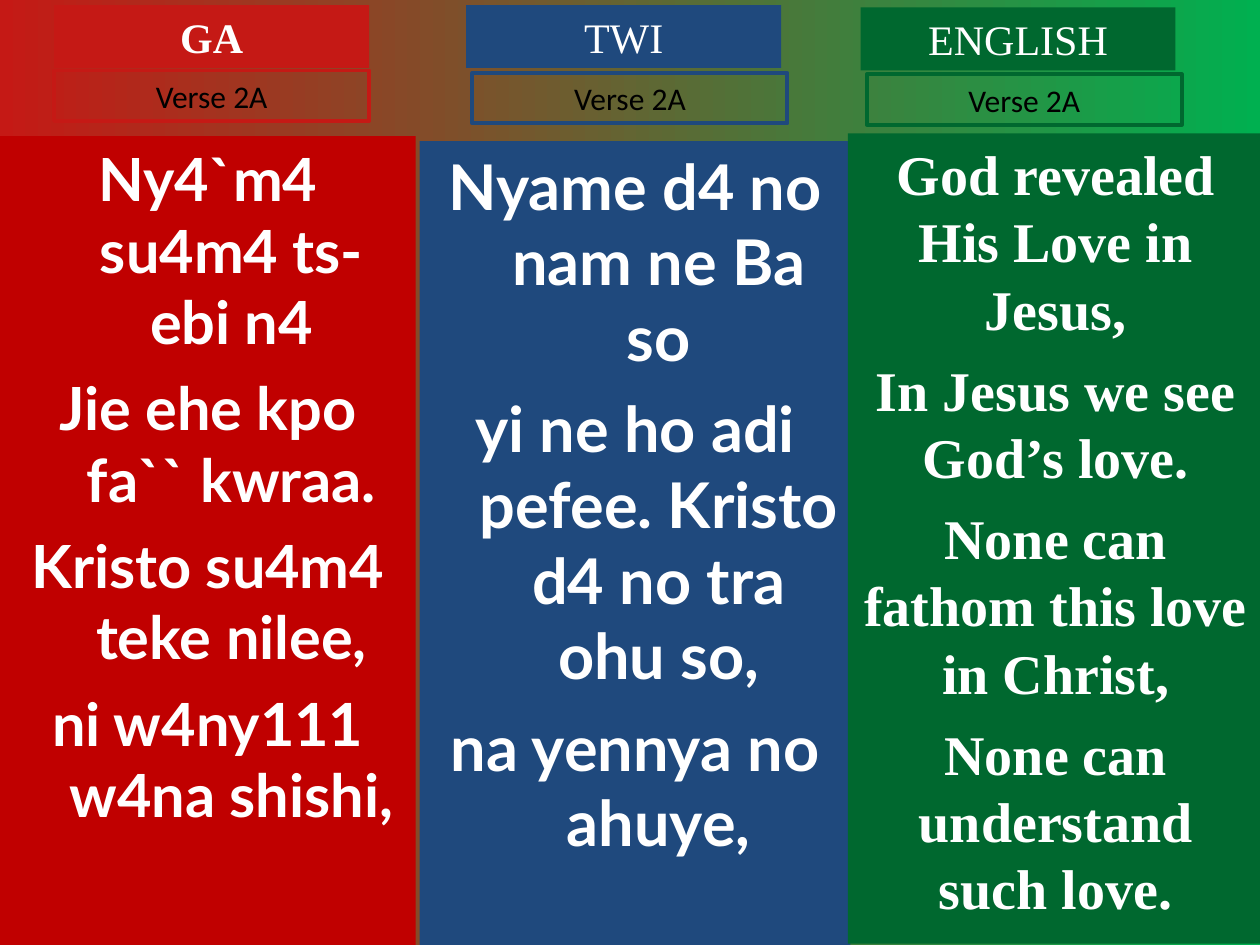
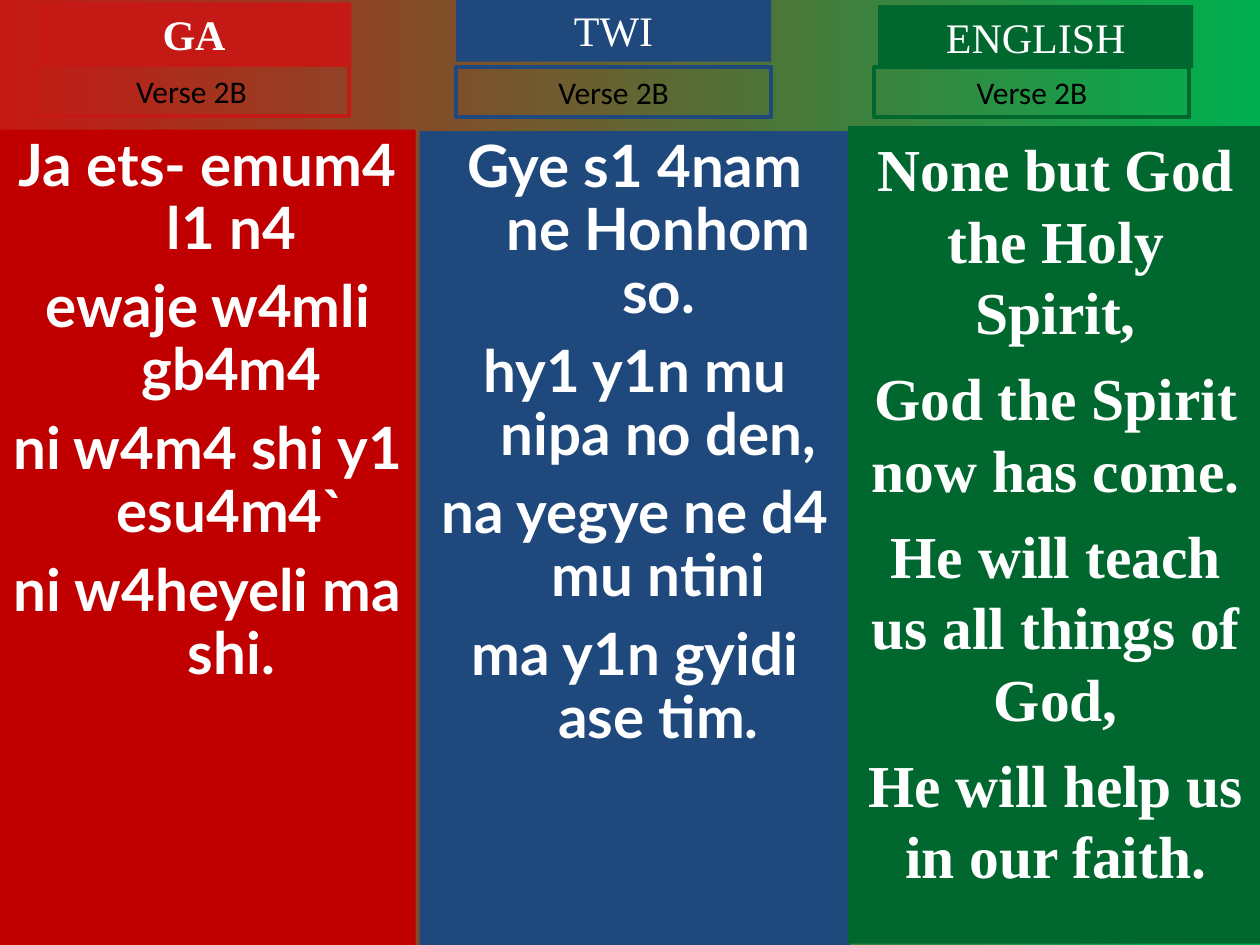
import pptx
import pptx.util
import pptx.dml.color
import pptx.enum.shapes
import pptx.enum.text
from dataclasses import dataclass

Pt = pptx.util.Pt


@dataclass(frozen=True)
class Theme:
    red: str = "C51915"
    deep: str = "C00000"
    blue: str = "1F497D"
    green: str = "00682F"
    glow: str = "00B050"
    white: str = "FFFFFF"
    black: str = "000000"
    serif: str = "Times New Roman"
    sans: str = "Lato"
    plain: str = "Calibri"
    head: float = 24
    label: float = 18
    line: float = 2.25
    hang: float = 27


@dataclass(frozen=True)
class Column:
    name: str
    tint: str
    fill: str
    left: float
    width: float
    base: float
    font: str
    hang: float
    bold: bool


@dataclass(frozen=True)
class Part:
    top: float
    head: tuple
    label: tuple
    size: float
    gap: float
    lines: tuple
    space: float = 1


THEME = Theme()

COLUMNS = (
    Column("GA", THEME.red, THEME.deep, 0, 237.6, 540, THEME.sans, THEME.hang, True),
    Column("TWI", THEME.blue, THEME.blue, 239.76, 246.24, 540, THEME.sans, THEME.hang, False),
    Column("ENGLISH", THEME.green, THEME.green, 484.56, 237.6, 539.28, THEME.serif, 0, False),
)

VERSES = {
    "Verse 2A": (
        Part(77.76, (30.96, 2.88), (30.96, 40.32), 34, 8.5, (
            "Ny4`m4 su4m4 ts- ebi n4",
            "Jie ehe kpo fa`` kwraa.",
            "Kristo su4m4 teke nilee,",
            "ni w4ny111 w4na shishi,")),
        Part(80.64, (266.4, 2.88), (270, 41.76), 36, 9, (
            "Nyame d4 no nam ne Ba so",
            "yi ne ho adi pefee. Kristo d4 no tra ohu so,",
            "na yennya no ahuye,")),
        Part(76.32, (491.76, 4.32), (495.36, 42.48), 32, 8, (
            "God revealed His Love in Jesus,",
            "In Jesus we see God’s love.",
            "None can fathom this love in Christ,",
            "None can understand such love.")),
    ),
    "Verse 2B": (
        Part(74.16, (20.88, 1.44), (19.44, 37.44), 33.3, 9, (
            "Ja ets- emum4 l1 n4",
            "ewaje w4mli gb4m4",
            "ni w4m4 shi y1 esu4m4`",
            "ni w4heyeli ma shi."), 0.9),
        Part(74.88, (260.64, -0.72), (260.64, 38.16), 33.3, 9, (
            "Gye s1 4nam ne Honhom so.",
            "hy1 y1n mu nipa no den,",
            "na yegye ne d4 mu ntini",
            "ma y1n gyidi ase tim."), 0.9),
        Part(72, (501.84, 2.88), (499.68, 38.16), 34, 8.5, (
            "None but God the Holy Spirit,",
            "God the Spirit now has come.",
            "He will teach us all things of God,",
            "He will help us in our faith.")),
    ),
}


def color(code):
    return pptx.dml.color.RGBColor.from_string(code)


class Deck:
    def __init__(self, theme):
        self.theme = theme
        self.show = pptx.Presentation()
        self.show.slide_width, self.show.slide_height = Pt(720), Pt(540)
        self.slide = None

    def page(self):
        self.slide = self.show.slides.add_slide(self.show.slide_layouts[6])
        fill = self.slide.background.fill
        fill.gradient()
        fill.gradient_angle = 0
        for stop, place, code in zip(fill.gradient_stops, (0, 1), (self.theme.red, self.theme.glow)):
            stop.position = place
            stop.color.rgb = color(code)

    def box(self, left, top, width, height, fill=None, line=None, grow=False):
        shape = self.slide.shapes.add_shape(
            pptx.enum.shapes.MSO_SHAPE.RECTANGLE, Pt(left), Pt(top), Pt(width), Pt(height))
        shape.shadow.inherit = False
        if fill:
            shape.fill.solid()
            shape.fill.fore_color.rgb = color(fill)
        else:
            shape.fill.background()
        if line:
            shape.line.color.rgb = color(line)
            shape.line.width = Pt(self.theme.line)
        else:
            shape.line.fill.background()
        frame = shape.text_frame
        frame.word_wrap = True
        frame.vertical_anchor = pptx.enum.text.MSO_ANCHOR.TOP
        size = pptx.enum.text.MSO_AUTO_SIZE
        frame.auto_size = size.SHAPE_TO_FIT_TEXT if grow else size.NONE
        return frame

    def put(self, para, text, font, size, code, bold=False):
        para.alignment = pptx.enum.text.PP_ALIGN.CENTER
        run = para.add_run()
        run.text = text
        run.font.name = font
        run.font.size = Pt(size)
        run.font.bold = bold
        run.font.color.rgb = color(code)

    def panel(self, col, part):
        frame = self.box(col.left, part.top, col.width, col.base - part.top, fill=col.fill)
        for index, text in enumerate(part.lines):
            para = frame.add_paragraph() if index else frame.paragraphs[0]
            if index:
                para.space_before = Pt(part.gap)
            para.line_spacing = part.space
            if col.hang:
                props = para._p.get_or_add_pPr()
                props.set("marL", str(Pt(col.hang)))
                props.set("indent", str(-Pt(col.hang)))
            self.put(para, text, col.font, part.size, self.theme.white, True)

    def head(self, col, place):
        frame = self.box(*place, 180, 36, fill=col.tint, grow=True)
        self.put(frame.paragraphs[0], col.name, self.theme.serif,
                 self.theme.head, self.theme.white, col.bold)

    def label(self, col, place, text):
        frame = self.box(*place, 180, 28.8, line=col.tint, grow=True)
        self.put(frame.paragraphs[0], text, self.theme.plain,
                 self.theme.label, self.theme.black)


def main():
    deck = Deck(THEME)
    for verse, parts in VERSES.items():
        deck.page()
        for col, part in zip(COLUMNS, parts):
            deck.panel(col, part)
            deck.head(col, part.head)
            deck.label(col, part.label, verse)
    deck.show.save("out.pptx")


if __name__ == "__main__":
    main()
